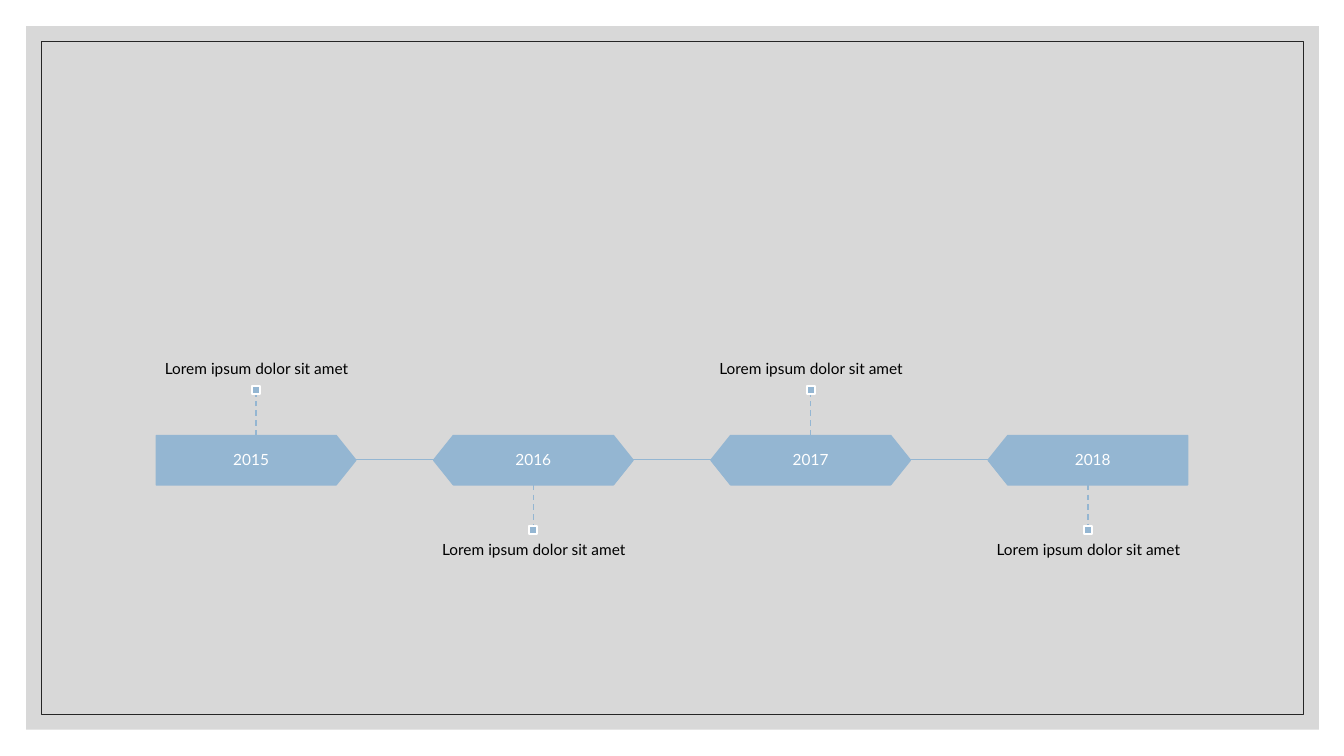
import lxml.etree
import pptx
import pptx.dml.color
import pptx.enum.dml
import pptx.enum.shapes
import pptx.enum.text
import pptx.oxml.ns
import pptx.util

EMU_PER_PX = 9144
BLUE, WHITE, BLACK = "94B6D2", "FFFFFF", "000000"
YEARS = ("2015", "2016", "2017", "2018")
CAPTION = "Lorem ipsum dolor sit amet"
STEP_WIDTH, BAND_WIDTH, BAND_HEIGHT = 275, 198, 49
STEM, MARKER, CAPTION_HEIGHT = 41, 8, 130
SHAPES = pptx.enum.shapes.MSO_SHAPE
ANCHORS = pptx.enum.text.MSO_ANCHOR


def px(*lengths):
    """Turn pixel lengths into EMU."""
    return [pptx.util.Emu(length * EMU_PER_PX) for length in lengths]


def color(code):
    """Return the colour of a hex string."""
    return pptx.dml.color.RGBColor.from_string(code)


def add_box(slide, kind, box, fill=None, line=None, weight=1):
    """Add a flat preset shape, with fill and outline where given."""
    shape = slide.shapes.add_shape(kind, *px(*box))
    shape.shadow.inherit = False
    if fill:
        shape.fill.solid()
        shape.fill.fore_color.rgb = color(fill)
    else:
        shape.fill.background()
    if line:
        shape.line.color.rgb = color(line)
        shape.line.width = pptx.util.Pt(weight)
    else:
        shape.line.fill.background()
    return shape


def add_line(slide, start, end, dashed=False):
    """Add a thin blue line between two points."""
    connector = slide.shapes.add_connector(
        pptx.enum.shapes.MSO_CONNECTOR.STRAIGHT, *px(*start, *end))
    connector.line.color.rgb = color(BLUE)
    connector.line.width = pptx.util.Pt(1)
    if dashed:
        connector.line.dash_style = pptx.enum.dml.MSO_LINE.DASH
    lxml.etree.SubElement(connector._element.spPr, pptx.oxml.ns.qn("a:effectLst"))


def write(shape, text, font_color, anchor, side, end):
    """Write one centred paragraph with the given side and end insets."""
    frame = shape.text_frame
    frame.word_wrap = True
    frame.vertical_anchor = anchor
    frame.margin_left, frame.margin_right = px(side, side)
    frame.margin_top, frame.margin_bottom = px(end, end)
    paragraph = frame.paragraphs[0]
    paragraph.text = text
    paragraph.alignment = pptx.enum.text.PP_ALIGN.CENTER
    paragraph.line_spacing = 0.9
    paragraph.font.name = "Lato"
    paragraph.font.size = pptx.util.Pt(11)
    paragraph.font.color.rgb = color(font_color)


def add_backdrop(slide, left, top, width, height):
    """Add the translucent grey panel and its inner frame."""
    panel = add_box(slide, SHAPES.RECTANGLE, (left, top, width, height), "BFBFBF")
    fill_color = panel._element.spPr.find(".//" + pptx.oxml.ns.qn("a:srgbClr"))
    lxml.etree.SubElement(fill_color, pptx.oxml.ns.qn("a:alpha"), val="60000")
    inset = 15
    add_box(slide, SHAPES.RECTANGLE,
            (left + inset, top + inset, width - 2 * inset, height - 2 * inset),
            line="262626", weight=0.5)


def add_band(slide, left, top, year, first, last):
    """Add the year band, pointed towards its neighbours."""
    kind = SHAPES.PENTAGON if first or last else SHAPES.HEXAGON
    band = add_box(slide, kind, (left, top, BAND_WIDTH, BAND_HEIGHT), BLUE, BLUE)
    band.adjustments[0] = 0.4
    if last:
        band._element.spPr.xfrm.set("flipH", "1")
    write(band, year, WHITE, ANCHORS.MIDDLE, 9, 9)


def add_callout(slide, left, edge, above):
    """Add the stem, marker and caption on one side of a band."""
    center = left + STEP_WIDTH // 2
    tip = edge - STEM if above else edge + STEM
    marker_top = tip - MARKER if above else tip
    caption_top = marker_top - CAPTION_HEIGHT if above else marker_top + MARKER
    add_line(slide, (center, edge), (center, tip), dashed=True)
    add_box(slide, SHAPES.RECTANGLE,
            (center - MARKER // 2, marker_top, MARKER, MARKER), BLUE, WHITE, 1.5)
    caption = slide.shapes.add_textbox(
        *px(left, caption_top, STEP_WIDTH, CAPTION_HEIGHT))
    write(caption, CAPTION, BLACK, ANCHORS.BOTTOM if above else ANCHORS.TOP, 0, 11)


def add_timeline(slide, left, top):
    """Add the linked years with callouts alternating above and below."""
    gap = STEP_WIDTH - BAND_WIDTH
    for index, year in enumerate(YEARS):
        step_left = left + index * STEP_WIDTH
        band_left = step_left + gap // 2
        last = index == len(YEARS) - 1
        above = index % 2 == 0
        add_band(slide, band_left, top, year, index == 0, last)
        if not last:
            middle = top + BAND_HEIGHT // 2
            band_right = band_left + BAND_WIDTH
            add_line(slide, (band_right, middle), (band_right + gap, middle))
        add_callout(slide, step_left, top if above else top + BAND_HEIGHT, above)


def main():
    """Build the timeline slide."""
    presentation = pptx.Presentation()
    presentation.slide_width, presentation.slide_height = px(1333, 750)
    slide = presentation.slides.add_slide(presentation.slide_layouts[6])
    add_backdrop(slide, 26, 26, 1282, 698)
    add_timeline(slide, 117, 432)
    presentation.save("out.pptx")


if __name__ == "__main__":
    main()
